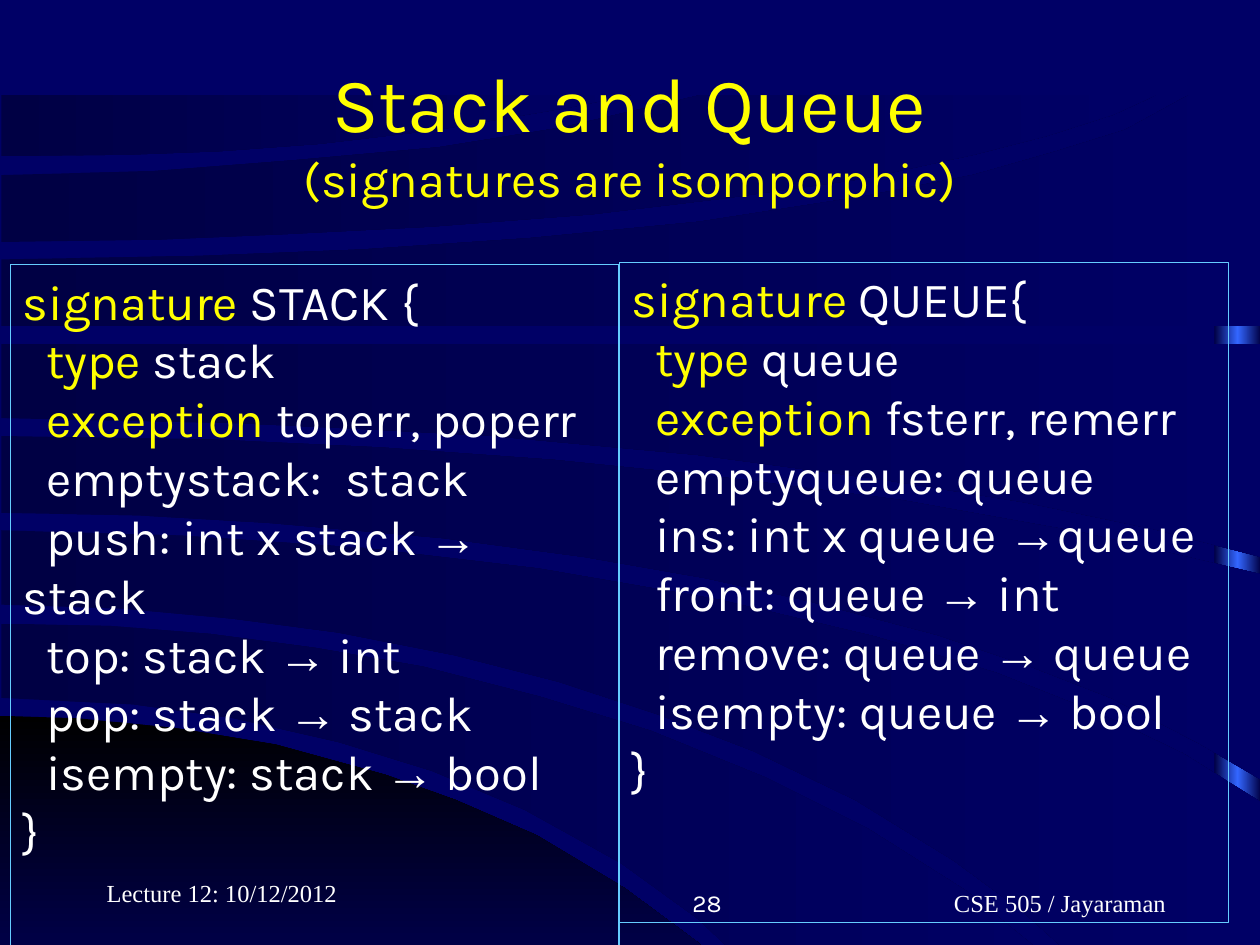
from collections import namedtuple
from copy import deepcopy

from pptx import Presentation
from pptx.dml.color import RGBColor
from pptx.enum.shapes import MSO_SHAPE as Shape
from pptx.enum.text import MSO_ANCHOR as Anchor, PP_ALIGN as Align
from pptx.oxml.ns import qn
from pptx.util import Cm, Pt

NAVY = RGBColor(0x00, 0x00, 0x66)
DEEP_NAVY = RGBColor(0x00, 0x00, 0x44)
BLACK = RGBColor(0x00, 0x00, 0x00)
BLUE = RGBColor(0x33, 0x66, 0xFF)
SKY = RGBColor(0x66, 0xCC, 0xFF)
YELLOW = RGBColor(0xFF, 0xFF, 0x00)
WHITE = RGBColor(0xFF, 0xFF, 0xFF)

SANS, SERIF, ARROW_FONT = "Karla", "Times New Roman", "Arial"
KEYWORDS = ("signature", "type", "exception")

Box = namedtuple("Box", "left top width height")

HILL = [
    (0, 21.01), (0, 14.43), (1.57, 14.48), (3.56, 14.68), (5.56, 15.01), (7.77, 15.62),
    (9.19, 16.13), (10.82, 16.84), (12.6, 17.91), (14.07, 19), (15.16, 20.07), (15.98, 21.01),
]
BANDS = [
    [(0.03, 12.57), (2.24, 12.62), (4.24, 12.78), (6.35, 13.06), (8.53, 13.44), (10.9, 14.05),
     (13.11, 14.73), (15.42, 15.67), (17.5, 16.71), (19.48, 17.96), (21.18, 19.35),
     (22.71, 20.96), (16.33, 20.96), (15.37, 19.76), (14.07, 18.52), (12.52, 17.4),
     (10.59, 16.33), (8.71, 15.54), (6.83, 14.96), (4.72, 14.48), (2.69, 14.2), (0.03, 14.07)],
    [(0.03, 10.69), (3.68, 10.8), (7.37, 11.05), (10.85, 11.46), (14.5, 12.09), (17.63, 12.83),
     (20.07, 13.56), (22.2, 14.4), (23.85, 15.19), (25.43, 16.18), (25.43, 20.96),
     (23.11, 20.96), (21.95, 19.58), (20.6, 18.36), (19.23, 17.35), (17.25, 16.13),
     (15.19, 15.14), (13.26, 14.4), (11.25, 13.74), (9.17, 13.21), (6.81, 12.75),
     (4.67, 12.47), (2.49, 12.27), (0.03, 12.19)],
    [(0.03, 8.79), (4.29, 8.86), (7.67, 9.02), (11.15, 9.27), (14.4, 9.6), (18.16, 10.08),
     (21.84, 10.74), (25.43, 11.58), (25.43, 15.72), (24.18, 14.99), (22.4, 14.07),
     (20.78, 13.44), (18.9, 12.8), (16.31, 12.12), (14.25, 11.66), (11.79, 11.23),
     (8.94, 10.85), (5.38, 10.54), (2.79, 10.39), (0.03, 10.34)],
    [(0.03, 6.93), (25.43, 6.93), (25.43, 11.23), (23.27, 10.67), (20.68, 10.13),
     (17.86, 9.68), (14.05, 9.17), (9.91, 8.79), (7.09, 8.64), (4.75, 8.53), (0.03, 8.43)],
    [(0.03, 6.58), (0.03, 5.23), (4.01, 5.16), (7.29, 5.03), (10.69, 4.8), (14.1, 4.47),
     (17.4, 3.96), (19.61, 3.53), (21.23, 3.07), (22.68, 2.62), (23.98, 1.91),
     (25.43, 1.91), (25.43, 6.58)],
    [(0.03, 3.53), (3.1, 3.45), (5.94, 3.23), (8.84, 2.97), (11.33, 2.57), (14.15, 1.91),
     (23.32, 1.91), (22.45, 2.31), (21.11, 2.74), (19.63, 3.12), (17.37, 3.61),
     (14.68, 3.99), (11.94, 4.32), (8.69, 4.57), (5.77, 4.72), (3.23, 4.83), (0.03, 4.88)],
    [(0.03, 1.91), (12.75, 1.91), (11.51, 2.16), (8.81, 2.62), (6.45, 2.9), (4.42, 3.05),
     (2.59, 3.12), (0.03, 3.15)],
]

STACK = """signature STACK {
  type stack
  exception toperr, poperr
  emptystack:  stack
  push: int x stack → stack
  top: stack → int
  pop: stack → stack
  isempty: stack → bool
}"""
QUEUE = """signature QUEUE{
  type queue
  exception fsterr, remerr
  emptyqueue: queue
  ins: int x queue →queue
  front: queue → int
  remove: queue → queue
  isempty: queue → bool
}"""


def cm_box(box):
    """Return the four lengths of a box."""
    return [Cm(length) for length in box]


def paint_gradient(shape, start, end, angle=0, middle=None):
    """Fill an unlined shape with a linear gradient of two or three colours."""
    shape.shadow.inherit = False
    shape.line.fill.background()
    shape.fill.gradient()
    shape.fill.gradient_angle = angle
    if middle is not None:
        stops = shape._element.spPr.find(qn("a:gradFill")).find(qn("a:gsLst"))
        stops.insert(1, deepcopy(stops[0]))
    colours = [start, end] if middle is None else [start, middle, end]
    for index, (stop, colour) in enumerate(zip(shape.fill.gradient_stops, colours)):
        stop.color.rgb = colour
        stop.position = index / (len(colours) - 1)


def add_text(shape, paragraphs, size=28, font=SANS, color=WHITE, align=Align.LEFT, anchor=Anchor.TOP):
    """Write paragraphs of (text, overrides) runs into a shape."""
    frame = shape.text_frame
    frame.word_wrap = True
    frame.vertical_anchor = anchor
    for index, parts in enumerate(paragraphs):
        paragraph = frame.paragraphs[0] if index == 0 else frame.add_paragraph()
        paragraph.alignment = align
        for text, overrides in parts:
            run = paragraph.add_run()
            run.text = text
            run.font.size = Pt(overrides.get("size", size))
            run.font.name = overrides.get("font", font)
            run.font.color.rgb = overrides.get("color", color)


def code_runs(line):
    """Split a signature line into keyword, arrow and plain runs."""
    keyword = next((word for word in KEYWORDS if line.strip().startswith(word + " ")), None)
    before, mark, after = line.partition(keyword or "→")
    style = {"color": YELLOW} if keyword else {"font": ARROW_FONT}
    return [(text, form) for text, form in ((before, {}), (mark, style), (after, {})) if text]


def draw_backdrop(slide, box):
    """Draw the ribbon, the dark hill and the sweeping bands."""
    ribbon = slide.shapes.add_shape(
        Shape.RECTANGLE, *cm_box((box.left + 24.48, box.top + 1.95, 0.94, box.height)))
    paint_gradient(ribbon, DEEP_NAVY, DEEP_NAVY, middle=BLUE)
    sweeps = [(HILL, BLACK, 270)] + [(band, DEEP_NAVY, 0) for band in BANDS]
    for outline, start, angle in sweeps:
        points = [(Cm(box.left + x), Cm(box.top + y)) for x, y in outline]
        builder = slide.shapes.build_freeform(*points[0])
        builder.add_line_segments(points[1:], close=True)
        paint_gradient(builder.convert_to_shape(), start, NAVY, angle)


def draw_title(slide, box):
    """Write the heading with its smaller second line."""
    heading = slide.shapes.add_textbox(*cm_box(box))
    lines = [[("Stack and Queue", {"size": 44})], [("(signatures are isomporphic)", {})]]
    add_text(heading, lines, color=YELLOW, align=Align.CENTER, anchor=Anchor.MIDDLE)


def draw_footer(slide, box):
    """Write the date, course and page number along the bottom."""
    entries = [
        ("Lecture 12: 10/12/2012", 0, 0, 5.28, SERIF, Align.LEFT),
        ("\tCSE 505 / Jayaraman", 14.81, 0.21, 8.05, SERIF, Align.CENTER),
        ("28", 7.62, 0.21, 5.28, SANS, Align.RIGHT),
    ]
    for text, left, top, width, font, align in entries:
        entry = slide.shapes.add_textbox(
            *cm_box((box.left + left, box.top + top, width, box.height)))
        add_text(entry, [[(text, {})]], size=14, font=font, align=align, anchor=Anchor.BOTTOM)


def draw_signature(slide, box, code):
    """Draw an outlined panel holding one signature."""
    panel = slide.shapes.add_shape(Shape.RECTANGLE, *cm_box(box))
    panel.shadow.inherit = False
    panel.fill.background()
    panel.line.color.rgb = SKY
    panel.line.width = Pt(0.75)
    add_text(panel, [code_runs(line) for line in code.splitlines()])


def main():
    """Build and save the slide."""
    deck = Presentation()
    deck.slide_width, deck.slide_height = Cm(25.4), Cm(19.05)
    slide = deck.slides.add_slide(deck.slide_layouts[6])
    slide.background.fill.solid()
    slide.background.fill.fore_color.rgb = NAVY
    draw_backdrop(slide, Box(0, 0, 25.4, 19.05))
    draw_footer(slide, Box(1.9, 17.14, 22.86, 1.27))
    draw_title(slide, Box(1.9, 1.06, 21.6, 3.18))
    draw_signature(slide, Box(0.21, 5.34, 12.27, 14.5), STACK)
    draw_signature(slide, Box(12.49, 5.29, 12.27, 13.31), QUEUE)
    deck.save("out.pptx")


if __name__ == "__main__":
    main()
